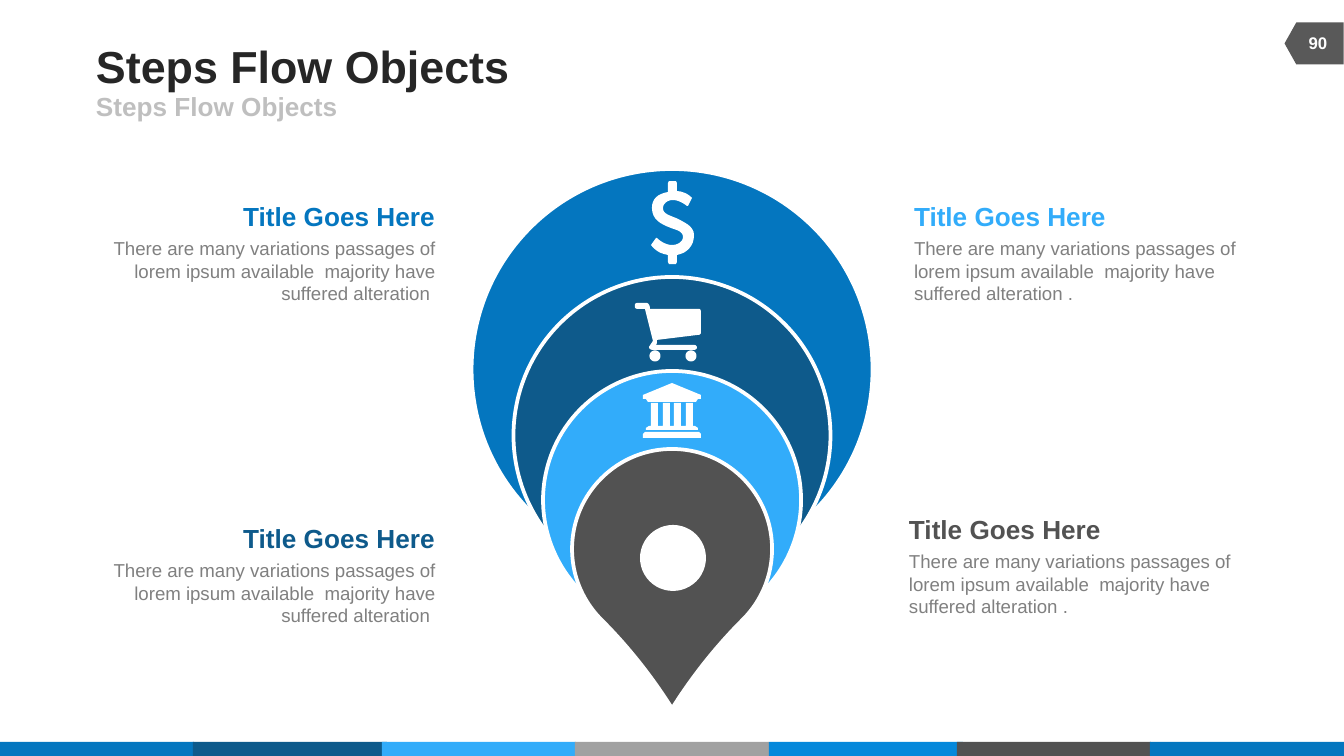
import dataclasses
from typing import NamedTuple

import pptx
import pptx.dml.color
import pptx.enum.shapes
import pptx.enum.text
import pptx.util

PX = 914400 / 134.4  # EMU in one px
FINE = 10  # outline steps in one px
CURVE_STEPS = 8

SHAPE = pptx.enum.shapes.MSO_SHAPE
ALIGN = pptx.enum.text.PP_ALIGN
ANCHOR = pptx.enum.text.MSO_ANCHOR


@dataclasses.dataclass(frozen=True)
class Theme:
    font: str = "Arial"
    blue: str = "0476BF"
    navy: str = "0E5A8B"
    sky: str = "32ACFA"
    azure: str = "0588DB"
    silver: str = "A1A1A1"
    dark: str = "525252"
    badge: str = "595959"
    title: str = "262626"
    subtitle: str = "BFBFBF"
    body: str = "808080"
    white: str = "FFFFFF"
    title_size: int = 24
    heading_size: int = 14
    body_size: int = 10
    badge_size: int = 9


class Box(NamedTuple):
    left: int
    top: int
    width: int
    height: int


class Drop(NamedTuple):
    top: int
    size: int
    color: str


class Step(NamedTuple):
    left: int
    top: int
    color: str
    align: ALIGN
    ending: str


THEME = Theme()
CENTER_X = 672
BODY_WIDTH, HEADING_WIDTH = 335, 192
BODY_TEXT = "There are many variations passages of lorem ipsum available  majority have suffered alteration "


def px(length: float) -> int:
    return round(length * PX)


def rgb(color: str) -> pptx.dml.color.RGBColor:
    return pptx.dml.color.RGBColor.from_string(color)


def paint(shape, fill: str, outline: str = "") -> None:
    shape.shadow.inherit = False
    shape.fill.solid()
    shape.fill.fore_color.rgb = rgb(fill)
    if outline:
        shape.line.color.rgb = rgb(outline)
        shape.line.width = pptx.util.Pt(2)
    else:
        shape.line.fill.background()


def add_preset(slide, kind: SHAPE, box: Box, fill: str, outline: str = ""):
    shape = slide.shapes.add_shape(kind, *map(px, box))
    paint(shape, fill, outline)
    return shape


def write(shape, text: str, size: int, color: str, bold: bool = True, align: ALIGN = ALIGN.LEFT,
          anchor: ANCHOR = ANCHOR.MIDDLE, wrap: bool = True) -> None:
    frame = shape.text_frame
    frame.auto_size = pptx.enum.text.MSO_AUTO_SIZE.NONE
    frame.word_wrap = wrap
    frame.vertical_anchor = anchor
    frame.margin_left = frame.margin_right = frame.margin_top = frame.margin_bottom = 0
    paragraph = frame.paragraphs[0]
    paragraph.alignment = align
    run = paragraph.add_run()
    run.text = text
    run.font.name, run.font.size, run.font.bold = THEME.font, pptx.util.Pt(size), bold
    run.font.color.rgb = rgb(color)


def add_text(slide, box: Box, text: str, size: int, color: str, **style) -> None:
    write(slide.shapes.add_textbox(*map(px, box)), text, size, color, **style)


def flatten(contour: list[tuple]) -> list[tuple]:
    """Turn points (x, y) and cubic curves (x1, y1, x2, y2, x, y) into fine points."""
    points = []
    for node in contour:
        if len(node) == 2:
            points.append(node)
            continue
        weights = (1, 3, 3, 1)
        controls = [points[-1], node[:2], node[2:4], node[4:]]
        for step in range(1, CURVE_STEPS + 1):
            t = step / CURVE_STEPS
            points.append(tuple(
                sum(w * (1 - t) ** (3 - i) * t ** i * control[axis]
                    for i, (w, control) in enumerate(zip(weights, controls)))
                for axis in (0, 1)))
    return [(x * FINE, y * FINE) for x, y in points]


def add_icon(slide, contours: list[list[tuple]]) -> None:
    outlines = [flatten(contour) for contour in contours]
    builder = slide.shapes.build_freeform(*outlines[0][0], scale=PX / FINE)
    for index, points in enumerate(outlines):
        if index:
            builder.move_to(*points[0])
        builder.add_line_segments(points[1:], close=True)
    paint(builder.convert_to_shape(), THEME.white)


def wheel(x: int, y: int, r: float) -> list[tuple]:
    k = r * 0.55
    return [(x + r, y), (x + r, y + k, x + k, y + r, x, y + r), (x - k, y + r, x - r, y + k, x - r, y),
            (x - r, y - k, x - k, y - r, x, y - r), (x + k, y - r, x + r, y - k, x + r, y)]


# Icon outlines
DOLLAR = [[
    (677, 255), (677, 262), (676, 264), (669, 264), (668, 262), (668, 255),
    (656, 253, 652, 246, 651, 245), (656, 238), (657, 238), (657, 238, 664, 245, 672, 245),
    (677, 245, 683, 242, 683, 237), (683, 231, 676, 230, 671, 228),
    (661, 224, 652, 220, 652, 208), (652, 199, 657, 194, 668, 192),
    (668, 183), (669, 181), (676, 181), (677, 183), (677, 191),
    (687, 192, 691, 197, 692, 198), (688, 206), (687, 206), (687, 206, 680, 200, 673, 200),
    (667, 200, 663, 204, 663, 208), (663, 214, 669, 215, 676, 218),
    (684, 222, 694, 226, 694, 235), (694, 246, 687, 253, 677, 255)]]
CART = [
    [(701, 332), (701, 334, 700, 335, 698, 335), (657, 340), (657, 343), (656, 345), (694, 345),
     (698, 345, 698, 350, 694, 350), (653, 350), (651, 350, 649, 349, 649, 347), (653, 341), (645, 309),
     (637, 309), (634, 309, 634, 303, 637, 303), (646, 303), (649, 303, 650, 306, 650, 309),
     (699, 309), (700, 309, 701, 310, 701, 312)],
    wheel(655, 356, 5.5), wheel(691, 356, 5.5)]
BANK = [
    [(672, 383), (701, 395), (701, 399), (698, 399), (696, 402), (648, 402), (646, 399), (643, 399), (643, 395)],
    [(643, 438), (643, 434), (645, 432), (699, 432), (701, 434), (701, 438)],
    [(646, 430), (646, 428), (649, 426), (695, 426), (698, 428), (698, 430)],
    *[[(x, 403), (x + 7, 403), (x + 7, 426), (x, 426)] for x in (651, 663, 674, 686)]]

DROPS = [Drop(169, 401, THEME.blue), Drop(277, 317, THEME.navy),
         Drop(371, 258, THEME.sky), Drop(449, 200, THEME.dark)]
STEPS = [Step(100, 200, THEME.blue, ALIGN.RIGHT, ""), Step(100, 522, THEME.navy, ALIGN.RIGHT, ""),
         Step(914, 200, THEME.sky, ALIGN.LEFT, "."), Step(909, 513, THEME.dark, ALIGN.LEFT, ".")]
STRIPES = [(0, THEME.blue), (193, THEME.navy), (382, THEME.sky), (575, THEME.silver),
           (769, THEME.azure), (957, THEME.dark), (1150, THEME.blue)]


def add_step(slide, step: Step) -> None:
    indent = BODY_WIDTH - HEADING_WIDTH if step.align == ALIGN.RIGHT else 0
    add_text(slide, Box(step.left, step.top + 37, BODY_WIDTH, 67), BODY_TEXT + step.ending, THEME.body_size,
             THEME.body, bold=False, align=step.align, anchor=ANCHOR.TOP)
    add_text(slide, Box(step.left + indent, step.top, HEADING_WIDTH, 32), "Title Goes Here", THEME.heading_size,
             step.color, align=step.align, anchor=ANCHOR.TOP, wrap=False)


def main() -> None:
    deck = pptx.Presentation()
    deck.slide_width, deck.slide_height = px(1344), px(756)
    slide = deck.slides.add_slide(deck.slide_layouts[5])

    # Footer stripes and page badge
    for left, color in STRIPES:
        add_preset(slide, SHAPE.RECTANGLE, Box(left, 742, 194, 14), color)
    badge = add_preset(slide, SHAPE.FLOWCHART_OFFPAGE_CONNECTOR, Box(1293, 14, 42, 59), THEME.badge)
    badge.rotation = 90
    add_text(slide, Box(1290, 23, 56, 40), "90", THEME.badge_size, THEME.white, align=ALIGN.CENTER)

    # Title and subtitle
    title = slide.shapes.title
    title.left, title.top, title.width, title.height = map(px, Box(96, 40, 829, 52))
    write(title, "Steps Flow Objects", THEME.title_size, THEME.title)
    add_text(slide, Box(96, 91, 605, 30), "Steps Flow Objects", THEME.heading_size, THEME.subtitle)

    # Nested drops with their icons
    for drop in DROPS:
        box = Box(CENTER_X - drop.size / 2, drop.top, drop.size, drop.size)
        teardrop = add_preset(slide, SHAPE.TEAR, box, drop.color, THEME.white)
        teardrop.adjustments[0] = 1.128
        teardrop.rotation = 135
    for icon in (DOLLAR, BANK, CART):
        add_icon(slide, icon)
    add_preset(slide, SHAPE.OVAL, Box(640, 525, 66, 66), THEME.white)

    # Step descriptions
    for step in STEPS:
        add_step(slide, step)

    deck.save("out.pptx")


if __name__ == "__main__":
    main()
